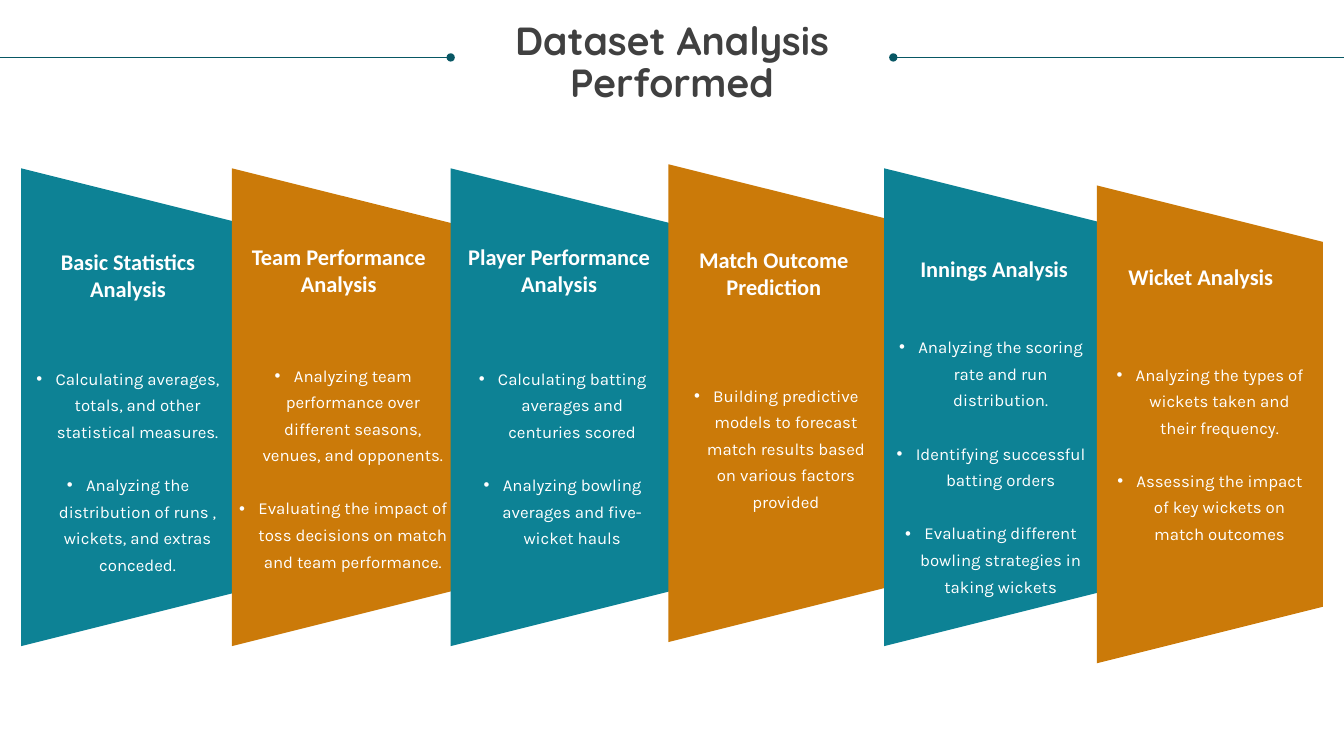
from lxml import etree
from pptx import Presentation, util as u
from pptx.dml.color import RGBColor
from pptx.enum import shapes, text
from pptx.oxml.ns import qn

TEAL, GOLD, DARK, WHITE, RULE = "0D8295", "CB7A09", "404040", "FFFFFF", "085764"
WIDE, HIGH = 1333, 750
LONG, DEEP = 474, 224
TITLE = "Dataset Analysis\nPerformed"
RULES = [(886, WIDE), (447, 0)]

# panel (left, top), head (text, box), body (points, box)
PANELS = [
    ((21, 167), ("Basic Statistics Analysis", (52, 246, 150, 54)),
     (["Calculating averages, totals, and other statistical measures.",
       "Analyzing the distribution of runs , wickets, and extras conceded."],
      (31, 359, 192, 210))),
    ((230, 167), ("Team Performance Analysis", (240, 241, 192, 54)),
     (["Analyzing team performance over different seasons, venues, and opponents.",
       "Evaluating the impact of toss decisions on match and team performance."],
      (233, 356, 215, 210))),
    ((447, 167), ("Player Performance Analysis", (452, 241, 205, 54)),
     (["Calculating batting averages and centuries scored",
       "Analyzing bowling averages and five-wicket hauls"],
      (462, 359, 192, 184))),
    ((663, 163), ("Match Outcome Prediction", (663, 244, 209, 54)),
     (["Building predictive models to forecast match results based on various factors provided"],
      (674, 376, 192, 104))),
    ((877, 167), ("Innings Analysis", (895, 253, 182, 27)),
     (["Analyzing the scoring rate and run distribution.",
       "Identifying successful batting orders",
       "Evaluating different bowling strategies in taking wickets"],
      (885, 328, 196, 237))),
    ((1088, 184), ("Wicket Analysis", (1116, 261, 150, 27)),
     (["Analyzing the types of wickets taken and their frequency.",
       "Assessing the impact of key wickets on match outcomes"],
      (1104, 355, 192, 184))),
]


def px(n):
    return u.Emu(round(n * 9144))


def color(code):
    return RGBColor.from_string(code)


def label(box, lines, font, size, ink, bold=False, space=None):
    frame = slide.shapes.add_textbox(*map(px, box)).text_frame
    frame.word_wrap = True
    frame.margin_left = frame.margin_right = frame.margin_top = frame.margin_bottom = 0
    for i, line in enumerate(lines):
        para = frame.paragraphs[0] if i == 0 else frame.add_paragraph()
        para.text = line
        para.alignment = text.PP_ALIGN.CENTER
        para.line_spacing = space
        for run in para.runs:
            run.font.name, run.font.size, run.font.bold = font, u.Pt(size), bold
            run.font.color.rgb = color(ink)
    return frame.paragraphs


def bullet(para):
    props = para._p.get_or_add_pPr()
    props.set("marL", str(px(19)))
    props.set("indent", str(-px(19)))
    etree.SubElement(props, qn("a:buFont")).set("typeface", "Arial")
    etree.SubElement(props, qn("a:buChar")).set("char", "•")


def rule(start, end, y):
    line = slide.shapes.add_connector(
        shapes.MSO_CONNECTOR.STRAIGHT, px(start), px(y), px(end), px(y))
    line.line.color.rgb = color(RULE)
    line.line.width = u.Pt(0.5)
    etree.SubElement(line.line._get_or_add_ln(), qn("a:headEnd")).set("type", "oval")
    etree.SubElement(line._element.spPr, qn("a:effectLst"))


def panel(left, top, fill):
    shift = (LONG - DEEP) / 2
    shape = slide.shapes.add_shape(
        shapes.MSO_SHAPE.TRAPEZOID, px(left - shift), px(top + shift), px(LONG), px(DEEP))
    shape.rotation = 90
    shape.shadow.inherit = False
    shape.fill.solid()
    shape.fill.fore_color.rgb = color(fill)
    shape.line.fill.background()


deck = Presentation()
deck.slide_width, deck.slide_height = px(WIDE), px(HIGH)
slide = deck.slides.add_slide(deck.slide_layouts[6])

for start, end in RULES:
    rule(start, end, 57)
label((25, 21, 1283, 85), [TITLE], "Quicksand", 28, DARK, True, 0.9)

for i, (spot, head, body) in enumerate(PANELS):
    panel(*spot, (TEAL, GOLD)[i % 2])

for spot, (head, place), (points, box) in PANELS:
    label(place, [head], "Calibri", 16, WHITE, True)
    for i, para in enumerate(label(box, points, "Karla", 12, WHITE, space=u.Pt(19))):
        para.space_before = u.Pt(19 if i else 0)
        bullet(para)

deck.save("out.pptx")
